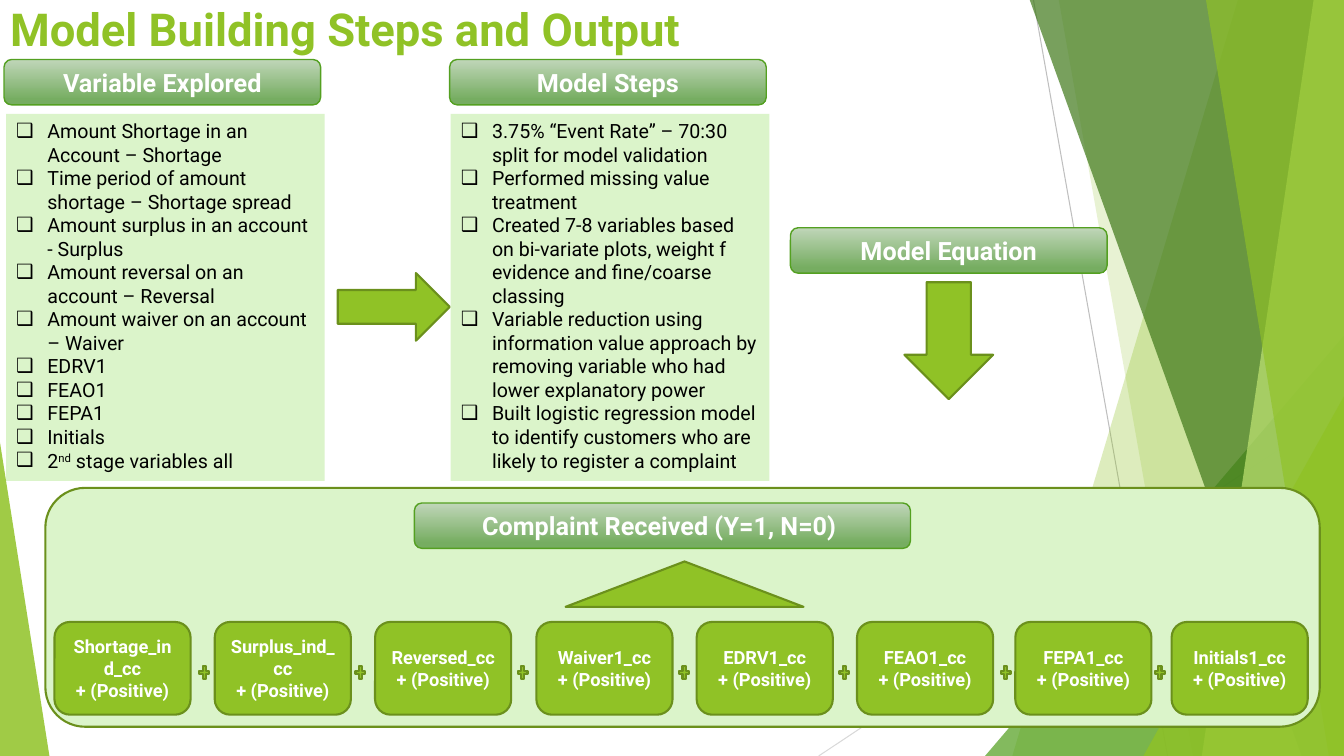
from lxml.etree import SubElement
from pptx import Presentation
from pptx.dml.color import RGBColor as Rgb
from pptx.enum.shapes import MSO_CONNECTOR as Link, MSO_SHAPE as Geo
from pptx.enum.text import MSO_ANCHOR as Anchor, MSO_AUTO_SIZE as Auto, PP_ALIGN as Align
from pptx.oxml.ns import qn
from pptx.util import Inches, Pt

HUES = {
    "green": "90C226", "edge": "6B901C", "leaf": "54A021", "dark": "3F7819",
    "lime": "C0E474", "pale": "DBF4CA", "top": "C0D6B9", "low": "76AD61",
    "white": "FFFFFF", "black": "000000", "gray": "BFBFBF", "mist": "D9D9D9",
}

RAYS = [
    (12.28, 10.04, "green", 30),
    (10.5, 11.83, "green", 20),
    (10.21, 12.91, "dark", 70),
    (13.03, 11.92, "lime", 70),
    (11.96, 13.18, "green", 65),
]

EXPLORED = [
    "Amount Shortage in an Account – Shortage",
    "Time period of amount shortage – Shortage spread",
    "Amount surplus in an account - Surplus",
    "Amount reversal on an account – Reversal",
    "Amount waiver on an account – Waiver",
    "EDRV1", "FEAO1", "FEPA1", "Initials",
    ("2", "nd", " stage variables all"),
]

STEPS = [
    "3.75% “Event Rate” – 70:30 split for model validation",
    "Performed missing value treatment",
    "Created 7-8 variables based on bi-variate plots, weight f evidence and fine/coarse classing",
    "Variable reduction using information value approach by removing variable who had lower explanatory power",
    "Built logistic regression model to identify customers who are likely to register a complaint",
]

TERMS = [
    ("Shortage_ind_cc", 0.54), ("Surplus_ind_cc", 2.13),
    ("Reversed_cc", 3.72), ("Waiver1_cc", 5.32),
    ("EDRV1_cc", 6.91), ("FEAO1_cc", 8.5),
    ("FEPA1_cc", 10.07), ("Initials1_cc", 11.62),
]
PLUSES = [1.96, 3.51, 5.12, 6.72, 8.31, 9.91, 11.44]


class Board:
    def __init__(self, slide, font):
        self.slide = slide
        self.shapes = slide.shapes
        self.font = font

    def hue(self, name):
        return Rgb.from_string(HUES[name])

    def style(self, para, size, color, bold=False):
        for run in para.runs:
            run.font.name = self.font
            run.font.size = Pt(size)
            run.font.bold = bold
            run.font.color.rgb = self.hue(color)

    def place(self, item, x, y, w, h):
        item.left, item.top, item.width, item.height = map(Inches, (x, y, w, h))

    def paint(self, item, color, alpha=100, edge=None, width=1.5):
        item.shadow.inherit = False
        item.fill.solid()
        item.fill.fore_color.rgb = self.hue(color)
        if alpha < 100:
            tint = item._element.spPr.find(qn("a:solidFill"))[0]
            SubElement(tint, qn("a:alpha")).set("val", str(alpha * 1000))
        if edge:
            item.line.color.rgb = self.hue(edge)
            item.line.width = Pt(width)
        else:
            item.line.fill.background()

    def line(self, x1, y1, x2, y2, color):
        item = self.shapes.add_connector(Link.STRAIGHT, *map(Inches, (x1, y1, x2, y2)))
        item.line.color.rgb = self.hue(color)
        item.line.width = Pt(0.75)
        SubElement(item._element.spPr, qn("a:effectLst"))

    def ray(self, top, low, color, alpha):
        pen = self.shapes.build_freeform(Inches(top), Inches(-0.01))
        ends = [(13.33, -0.01), (13.33, 7.5), (low, 7.5)]
        pen.add_line_segments([(Inches(x), Inches(y)) for x, y in ends])
        self.paint(pen.convert_to_shape(), color, alpha)

    def wedge(self, x, y, w, h, tip, color, alpha):
        item = self.shapes.add_shape(Geo.ISOSCELES_TRIANGLE, *map(Inches, (x, y, w, h)))
        item.adjustments[0] = tip
        self.paint(item, color, alpha)

    def shape(self, kind, x, y, w, h, color="green"):
        item = self.shapes.add_shape(kind, *map(Inches, (x, y, w, h)))
        self.paint(item, color, edge="edge")
        return item

    def label(self, item, text, size):
        frame = item.text_frame
        frame.text = text
        frame.word_wrap = True
        frame.vertical_anchor = Anchor.MIDDLE
        for para in frame.paragraphs:
            para.alignment = Align.CENTER
            self.style(para, size, "white", True)

    def header(self, text, x, y, w=3.14):
        item = self.shape(Geo.ROUNDED_RECTANGLE, x, y, w, 0.45)
        item.fill.gradient()
        item.fill.gradient_angle = 270
        for stop, color, spot in zip(item.fill.gradient_stops, ("top", "low"), (0, 0.88)):
            stop.color.rgb = self.hue(color)
            stop.position = spot
        item.line.color.rgb = self.hue("leaf")
        item.line.width = Pt(1)
        self.label(item, text, 18)

    def title(self, text):
        item = self.shapes.title
        self.place(item, 0, -0.03, 10.14, 0.62)
        frame = item.text_frame
        frame.text = text
        frame.auto_size = Auto.NONE
        frame.vertical_anchor = Anchor.MIDDLE
        frame.paragraphs[0].alignment = Align.LEFT
        self.style(frame.paragraphs[0], 32.4, "green", True)

    def bullets(self, slot, rows, x):
        item = self.slide.placeholders[slot]
        self.place(item, x, 1.13, 3.16, 3.64)
        item.fill.solid()
        item.fill.fore_color.rgb = self.hue("pale")
        frame = item.text_frame
        frame.auto_size = Auto.NONE
        for i, row in enumerate(rows):
            para = frame.add_paragraph() if i else frame.paragraphs[0]
            if isinstance(row, str):
                para.text = row
            else:
                for part in row:
                    para.add_run().text = part
                para.runs[1]._r.get_or_add_rPr().set("baseline", "30000")
            para.space_before = Pt(0)
            props = para._p.get_or_add_pPr()
            props.set("marL", str(Inches(0.31)))
            props.set("indent", str(Inches(-0.31)))
            SubElement(props, qn("a:buChar")).set("char", "❑")
            self.style(para, 14, "black")


def main():
    deck = Presentation()
    deck.slide_width, deck.slide_height = Inches(13.33), Inches(7.5)
    board = Board(deck.slides.add_slide(deck.slide_layouts[3]), "Roboto")

    board.line(10.25, 0, 11.58, 7.5, "gray")
    board.line(13.33, 4.03, 8.12, 7.5, "mist")
    for ray in RAYS[:2]:
        board.ray(*ray)
    board.wedge(9.77, 3.33, 3.56, 4.17, 1, "leaf", 72)
    for ray in RAYS[2:]:
        board.ray(*ray)
    board.wedge(11.34, 3.93, 1.99, 3.57, 1, "green", 80)
    board.wedge(0, 4.39, 0.49, 3.11, 0, "green", 85)

    board.title("Model Building Steps and Output")
    board.bullets(1, EXPLORED, 0.06)
    board.bullets(2, STEPS, 4.47)
    board.header("Variable Explored", 0.04, 0.59)
    board.header("Model Steps", 4.46, 0.59)
    board.header("Model Equation", 7.84, 2.26)
    board.shape(Geo.RIGHT_ARROW, 3.35, 2.71, 1.11, 0.67)
    board.shape(Geo.DOWN_ARROW, 8.97, 2.8, 0.88, 1.16)

    board.shape(Geo.ROUNDED_RECTANGLE, 0.45, 4.84, 12.64, 2.37, "pale")
    for name, x in TERMS:
        box = board.shape(Geo.ROUNDED_RECTANGLE, x, 6.17, 1.35, 0.92)
        board.label(box, name + "\n+ (Positive)", 13)
    for x in PLUSES:
        board.shape(Geo.MATH_PLUS, x, 6.58, 0.13, 0.18)
    board.header("Complaint Received (Y=1, N=0) ", 4.11, 4.99, 4.92)
    board.shape(Geo.FLOWCHART_EXTRACT, 5.61, 5.57, 2.36, 0.45)

    deck.save("out.pptx")


if __name__ == "__main__":
    main()
